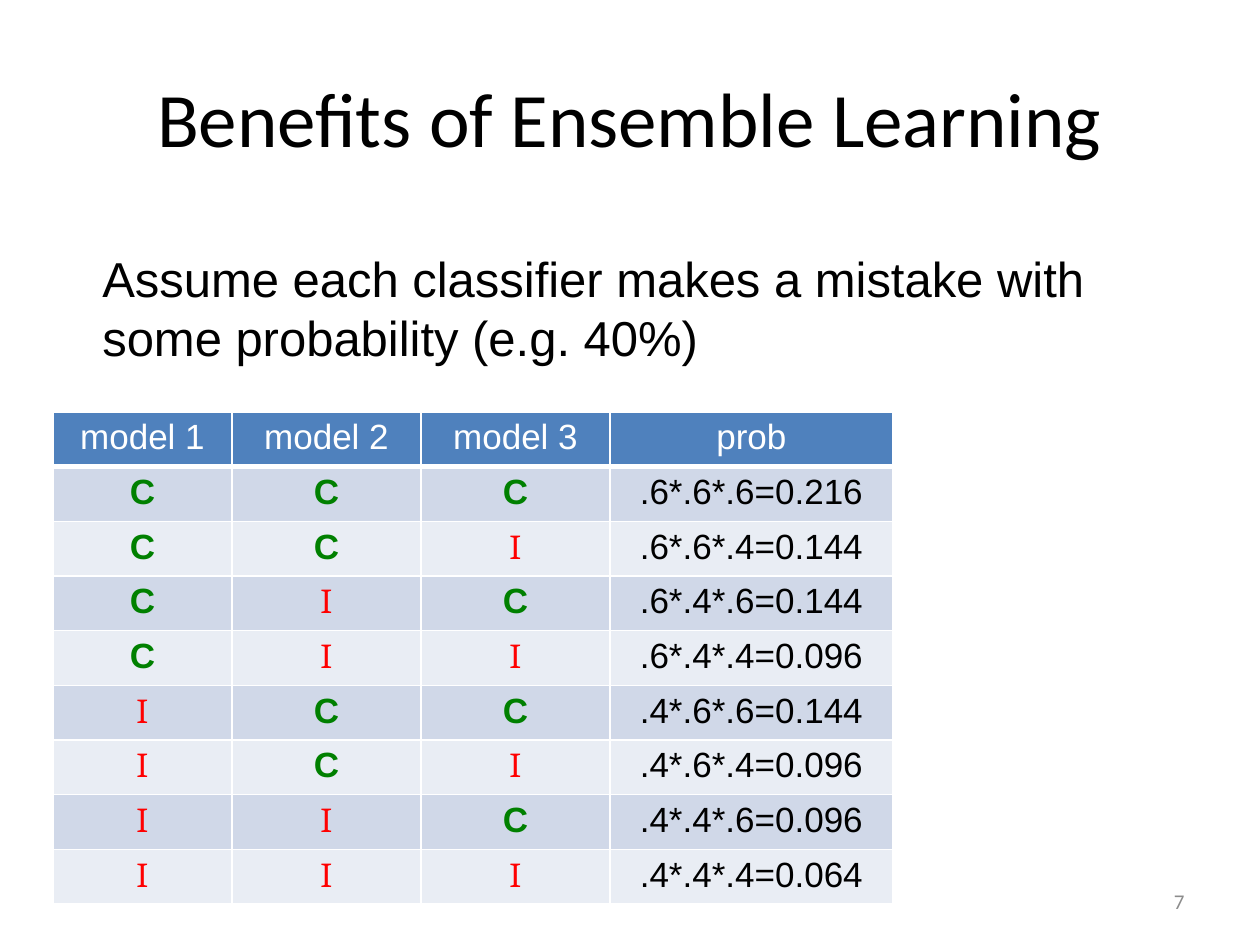
import itertools
import math

import pptx
import pptx.dml.color
import pptx.enum.text
import pptx.oxml
import pptx.oxml.ns
import pptx.util

EMU_PER_PX = 914400 / 126
ALIGN = pptx.enum.text.PP_ALIGN
ANCHOR = pptx.enum.text.MSO_ANCHOR
COLORS = {
    "black": "000000", "white": "FFFFFF", "number": "8C8C8C", "header": "4F81BD",
    "odd row": "D0D8E8", "even row": "E9EDF4", "correct": "008000", "incorrect": "FF0000",
}


def px(*lengths):
    """Turn px lengths into a list of EMU lengths."""
    return [pptx.util.Emu(round(length * EMU_PER_PX)) for length in lengths]


def write(text_frame, text, font_name, size, color, alignment, bold=False):
    paragraph = text_frame.paragraphs[0]
    paragraph.alignment = alignment
    run = paragraph.add_run()
    run.text = text
    run.font.name = font_name
    run.font.size = pptx.util.Pt(size)
    run.font.bold = bold
    run.font.color.rgb = pptx.dml.color.RGBColor.from_string(COLORS[color])


presentation = pptx.Presentation()
presentation.slide_width, presentation.slide_height = px(1260, 945)
slide = presentation.slides.add_slide(presentation.slide_layouts[5])

# Title
title = slide.shapes.title
title.left, title.top, title.width, title.height = px(63, 38, 1134, 157)
title.text_frame.vertical_anchor = ANCHOR.MIDDLE
write(title.text_frame, "Benefits of Ensemble Learning", "Calibri", 44, "black", ALIGN.CENTER)

# Assumption
assumption = slide.shapes.add_textbox(*px(90, 242, 1086, 131))
assumption.text_frame.word_wrap = True
write(assumption.text_frame,
      "Assume each classifier makes a mistake with some probability (e.g. 40%)",
      "Arial", 28, "black", ALIGN.LEFT)

# Every outcome of three models, C for correct and I for incorrect
chances = {"C": 0.6, "I": 0.4}
rows = [("model 1", "model 2", "model 3", "prob")]
for outcome in itertools.product("CI", repeat=3):
    factors = [chances[letter] for letter in outcome]
    product = "*".join(f"{factor:.1f}".lstrip("0") for factor in factors)
    rows.append((*outcome, f"{product}={math.prod(factors):.3f}"))

table = slide.shapes.add_table(len(rows), 4, *px(53, 412, 840, 492)).table
for column, width in zip(table.columns, px(179, 189, 189, 283)):
    column.width = width

for row_index, row in enumerate(rows):
    if row_index == 0:
        fill, text_color = "header", "white"
    else:
        fill, text_color = ("odd row" if row_index % 2 else "even row"), "black"
    for column_index, text in enumerate(row):
        cell = table.cell(row_index, column_index)
        properties = cell._tc.get_or_add_tcPr()
        for side in "LRTB":
            thick = (row_index, side) in ((0, "B"), (1, "T"))
            properties.append(pptx.oxml.parse_xml(
                f'<a:ln{side} {pptx.oxml.ns.nsdecls("a")} w="{38100 if thick else 12700}">'
                f'<a:solidFill><a:srgbClr val="{COLORS["white"]}"/></a:solidFill></a:ln{side}>'))
        cell.fill.solid()
        cell.fill.fore_color.rgb = pptx.dml.color.RGBColor.from_string(COLORS[fill])
        if text == "C":
            write(cell.text_frame, text, "Arial", 20, "correct", ALIGN.CENTER, bold=True)
        elif text == "I":
            write(cell.text_frame, text, "Cambria", 20, "incorrect", ALIGN.CENTER)
        else:
            write(cell.text_frame, text, "Arial", 20, text_color, ALIGN.CENTER)

# Slide number
number = slide.shapes.add_textbox(*px(903, 876, 294, 50))
number.text_frame.word_wrap = True
number.text_frame.vertical_anchor = ANCHOR.MIDDLE
write(number.text_frame, "7", "Calibri", 12, "number", ALIGN.RIGHT)

presentation.save("out.pptx")
